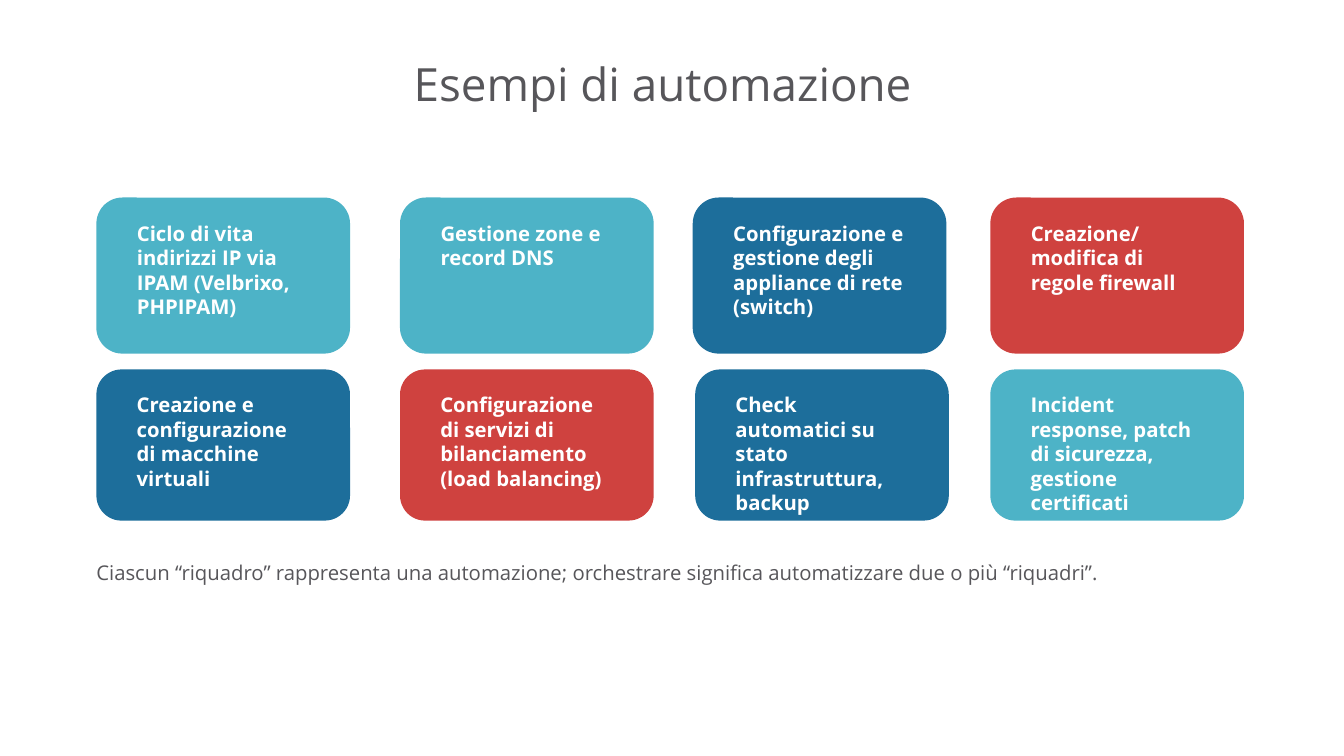
"""Build the slide of automation examples as a grid of coloured cards."""
from dataclasses import dataclass

from pptx import Presentation
from pptx.dml.color import RGBColor
from pptx.enum.shapes import MSO_SHAPE
from pptx.enum.text import MSO_ANCHOR, MSO_AUTO_SIZE, PP_ALIGN
from pptx.util import Inches, Pt

TEAL = RGBColor(0x4D, 0xB3, 0xC7)
BLUE = RGBColor(0x1D, 0x6E, 0x9B)
RED = RGBColor(0xCF, 0x42, 0x3F)
GREY = RGBColor(0x57, 0x56, 0x5A)
WHITE = RGBColor(0xFF, 0xFF, 0xFF)

WIDE, HIGH = 11.02, 6.2
COLS = (0.79, 3.28, 5.68, 8.12)
ROWS = ((1.62, 1.28), (3.03, 1.24))
CARD_W = 2.08


@dataclass(frozen=True)
class Card:
    """One automation, placed by column and row of the grid."""
    col: int
    row: int
    fill: RGBColor
    text: str
    shift: float = 0


CARDS = (
    Card(0, 0, TEAL, "Ciclo di vita indirizzi IP via IPAM (Velbrixo, PHPIPAM)"),
    Card(1, 0, TEAL, "Gestione zone e record DNS"),
    Card(2, 0, BLUE, "Configurazione e gestione degli appliance di rete (switch)"),
    Card(3, 0, RED, "Creazione/modifica di regole firewall"),
    Card(0, 1, BLUE, "Creazione e configurazione di macchine virtuali"),
    Card(1, 1, RED, "Configurazione di servizi di bilanciamento (load balancing)"),
    Card(2, 1, BLUE, "Check automatici su stato infrastruttura, backup", 0.02),
    Card(3, 1, TEAL, "Incident response, patch di sicurezza, gestione certificati"),
)


def assign(item: object, **values: object) -> None:
    """Set each named attribute on an object."""
    for name, value in values.items():
        setattr(item, name, value)


def write(shape, text: str, color: RGBColor, size: int = 12, bold: bool = False,
          align=PP_ALIGN.LEFT, anchor=MSO_ANCHOR.MIDDLE,
          pad: tuple[float, float] = (0, 0), lines: float = 0.86) -> None:
    """Fill a shape with one formatted paragraph."""
    side, edge = (Inches(part) for part in pad)
    frame = shape.text_frame
    frame.text = text
    assign(frame, word_wrap=True, auto_size=MSO_AUTO_SIZE.NONE,
           vertical_anchor=anchor, margin_left=side, margin_right=side,
           margin_top=edge, margin_bottom=edge)
    para = frame.paragraphs[0]
    assign(para, alignment=align, line_spacing=lines)
    font = para.runs[0].font
    assign(font, name="Open Sans", size=Pt(size), bold=bold)
    font.color.rgb = color


def draw(slide, card: Card) -> None:
    """Add a rounded card at its place in the grid."""
    top, high = ROWS[card.row]
    box = slide.shapes.add_shape(
        MSO_SHAPE.ROUNDED_RECTANGLE, Inches(COLS[card.col] + card.shift),
        Inches(top), Inches(CARD_W), Inches(high))
    box.shadow.inherit = False
    box.fill.solid()
    box.fill.fore_color.rgb = card.fill
    box.line.fill.background()
    write(box, card.text, WHITE, bold=True, anchor=MSO_ANCHOR.TOP,
          pad=(0.27, 0.13), lines=1.0)


def main() -> None:
    """Assemble and save the slide."""
    deck = Presentation()
    assign(deck, slide_width=Inches(WIDE), slide_height=Inches(HIGH))
    slide = deck.slides.add_slide(deck.slide_layouts[5])
    title = slide.shapes.title
    assign(title, left=Inches(0.75), top=Inches(0.34),
           width=Inches(0.85 * WIDE), height=Inches(0.12 * HIGH))
    write(title, "Esempi di automazione", GREY, 27, align=PP_ALIGN.CENTER)
    for card in CARDS:
        draw(slide, card)
    note = slide.shapes.add_textbox(
        Inches(COLS[0]), Inches(0.72 * HIGH),
        Inches(COLS[-1] + CARD_W - COLS[0]), Inches(0.08 * HIGH))
    write(note, "Ciascun “riquadro” rappresenta una automazione; orchestrare "
          "significa automatizzare due o più “riquadri”.", GREY)
    deck.save("out.pptx")


if __name__ == "__main__":
    main()
